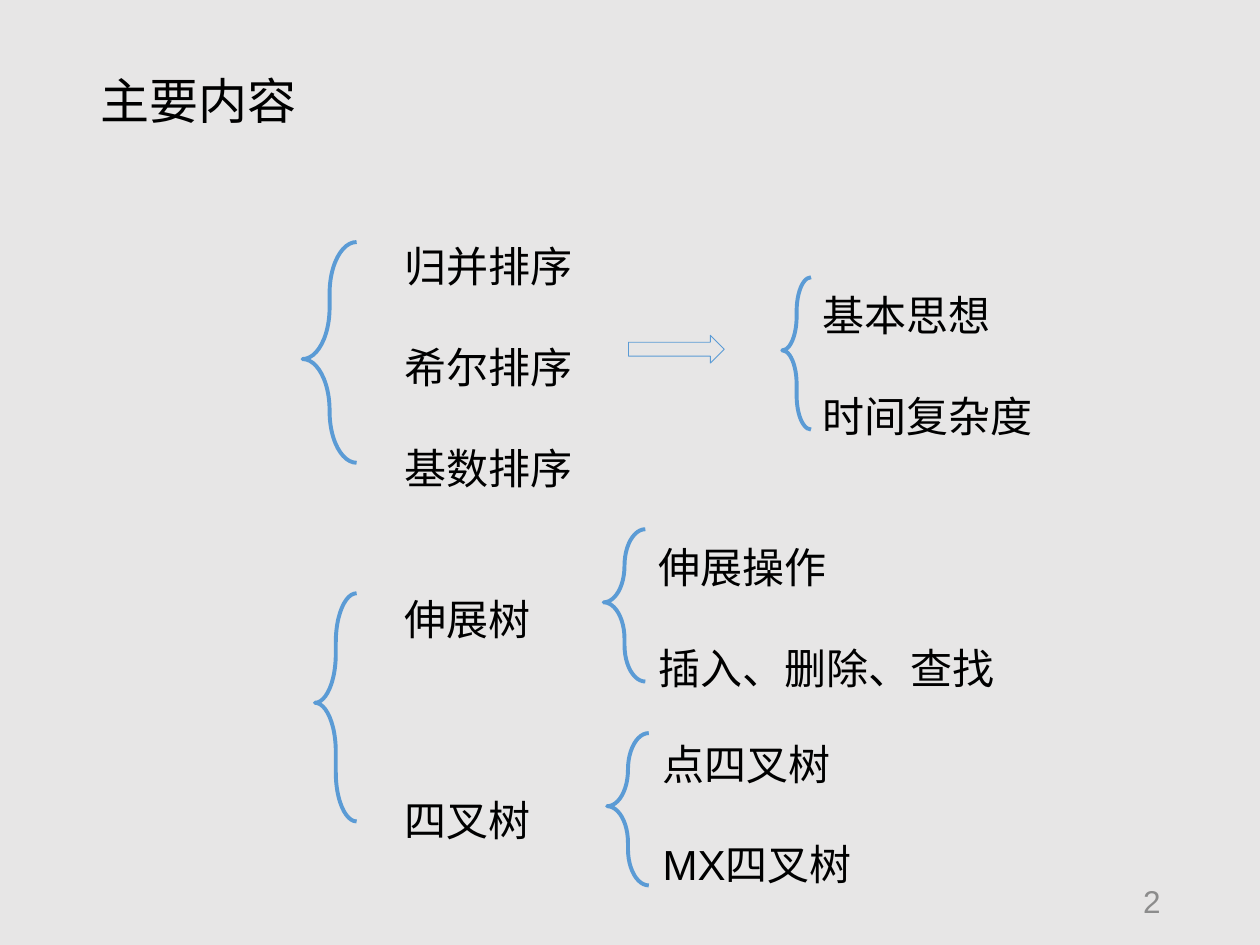
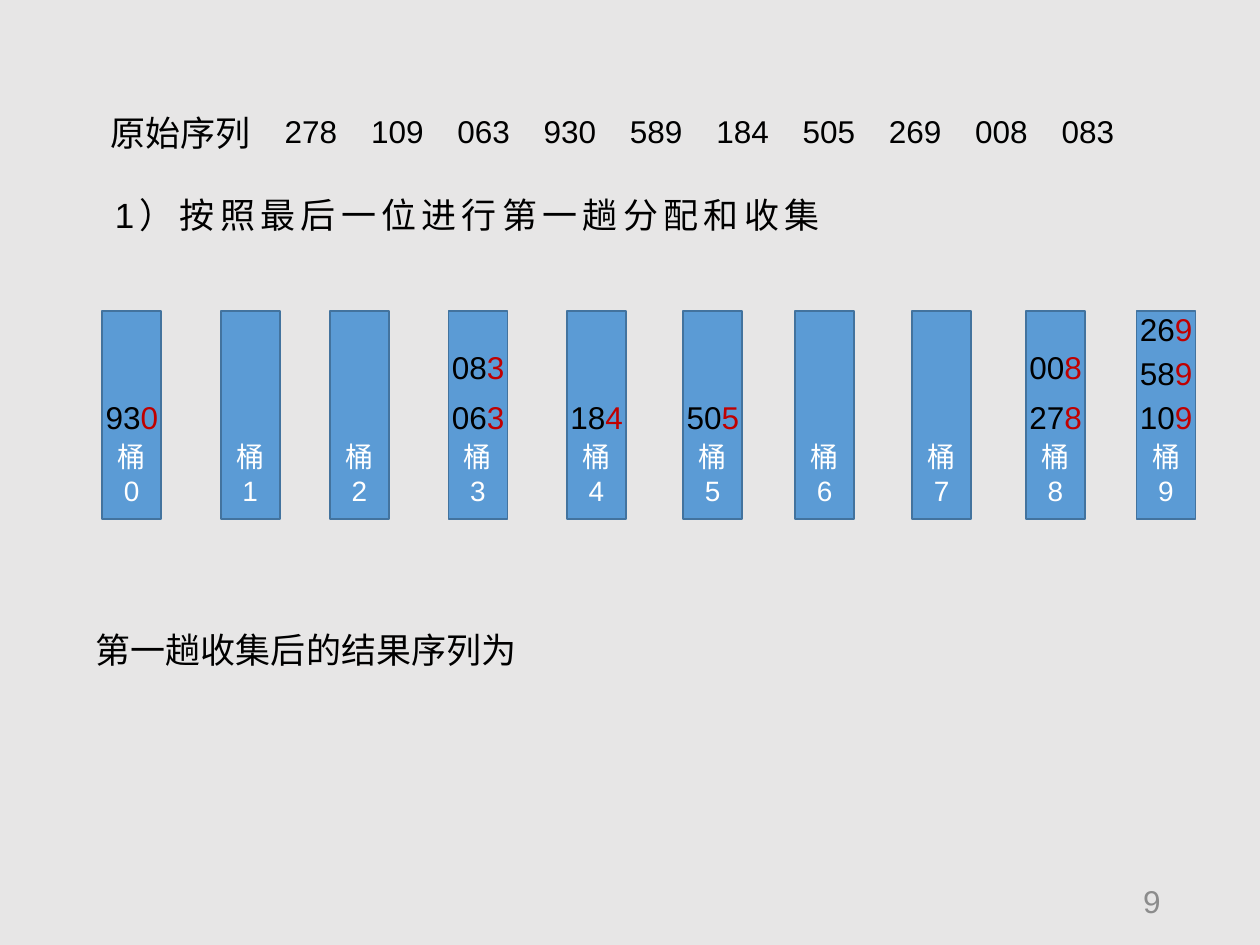
from lxml import etree
from pptx import Presentation
from pptx.dml.color import RGBColor
from pptx.enum.shapes import MSO_SHAPE
from pptx.enum.text import MSO_ANCHOR, MSO_AUTO_SIZE, PP_ALIGN
from pptx.oxml.ns import qn
from pptx.util import Cm, Pt

LEFT_BRACE, RIGHT_ARROW = MSO_SHAPE.LEFT_BRACE, MSO_SHAPE.RIGHT_ARROW
RECTANGLE = MSO_SHAPE.RECTANGLE
TOP, MIDDLE, BOTTOM = MSO_ANCHOR.TOP, MSO_ANCHOR.MIDDLE, MSO_ANCHOR.BOTTOM
LEFT, CENTER, RIGHT = PP_ALIGN.LEFT, PP_ALIGN.CENTER, PP_ALIGN.RIGHT
NO_AUTOFIT = MSO_AUTO_SIZE.NONE
TWO_CONTENT, TITLE_ONLY = 3, 5

FONT = "Arial"
BACKGROUND, BLACK, WHITE, GRAY = "E7E6E6", "000000", "FFFFFF", "8C8C8C"
BLUE, DARK_BLUE, RED = "5B9BD5", "43739E", "C00000"


def color(value):
    return RGBColor.from_string(value)


def set_attributes(target, values):
    for name, value in values.items():
        setattr(target, name, value)


class Deck:
    def __init__(self):
        self.presentation = Presentation()
        set_attributes(self.presentation,
                       {"slide_width": Cm(25.4), "slide_height": Cm(19.05)})
        fill = self.presentation.slide_master.background.fill
        fill.solid()
        fill.fore_color.rgb = color(BACKGROUND)
        self.slide = None

    def add_slide(self, layout, number):
        layouts = self.presentation.slide_layouts
        self.slide = self.presentation.slides.add_slide(layouts[layout])
        self.text_box((17.93, 17.65, 5.72, 1.02), [str(number)], size=18,
                      ink=GRAY, align=RIGHT, anchor=MIDDLE)

    def place(self, shape, box):
        names = ("left", "top", "width", "height")
        set_attributes(shape, dict(zip(names, map(Cm, box))))

    def set_text(self, shape, lines, size=20, ink=BLACK, align=LEFT, anchor=TOP,
                 line_spacing=1.0, gap=0, tracking=0):
        """Fill a shape; a line is a string or a list of (text, colour) runs."""
        frame = shape.text_frame
        set_attributes(frame, {"word_wrap": True, "auto_size": NO_AUTOFIT,
                               "vertical_anchor": anchor})
        for index, line in enumerate(lines):
            paragraph = frame.add_paragraph() if index else frame.paragraphs[0]
            if shape.is_placeholder:
                properties = paragraph._p.get_or_add_pPr()
                properties.set("marL", "0")
                properties.set("indent", "0")
                etree.SubElement(properties, qn("a:buNone"))
            set_attributes(paragraph, {
                "alignment": align, "line_spacing": line_spacing,
                "space_before": Pt(gap if index else 0)})
            runs = [(line, ink)] if isinstance(line, str) else line
            for text, run_ink in runs:
                run = paragraph.add_run()
                run.text = text
                set_attributes(run.font, {"name": FONT, "size": Pt(size), "bold": False})
                run.font.color.rgb = color(run_ink)
                if tracking:
                    run._r.get_or_add_rPr().set("spc", str(tracking * 100))

    def text_box(self, box, lines, **style):
        shape = self.slide.shapes.add_textbox(*map(Cm, box))
        self.set_text(shape, lines, **style)

    def placeholder(self, index, box, lines, **style):
        shape = self.slide.placeholders[index]
        self.place(shape, box)
        self.set_text(shape, lines, **style)

    def shape(self, kind, box, line, weight, fill=None, adjustments=()):
        shape = self.slide.shapes.add_shape(kind, *map(Cm, box))
        shape.shadow.inherit = False
        if fill:
            shape.fill.solid()
            shape.fill.fore_color.rgb = color(fill)
        else:
            shape.fill.background()
        shape.line.color.rgb = color(line)
        shape.line.width = Pt(weight)
        for index, value in enumerate(adjustments):
            shape.adjustments[index] = value
        return shape

    def brace(self, box, adjustments=(1.18, 0.48)):
        self.shape(LEFT_BRACE, box, BLUE, 2.25, adjustments=adjustments)

    def bucket(self, left, number, values):
        """Draw one bucket with its values stacked upwards, last digit in red."""
        shape = self.shape(RECTANGLE, (left, 6.27, 1.19, 4.19), DARK_BLUE, 1, BLUE)
        shape.text_frame.margin_bottom = Cm(0.24)
        self.set_text(shape, ["桶", str(number)], size=16, ink=WHITE,
                      align=CENTER, anchor=BOTTOM)
        step = 0.89 if len(values) > 2 else 1.0
        for level, value in enumerate(values):
            self.text_box((left - 0.18, 7.9 - level * step, 2, 1.02),
                          [[(value[:-1], BLACK), (value[-1], RED)]], size=18)


def build_contents(deck):
    deck.add_slide(TWO_CONTENT, 2)
    deck.placeholder(0, (1.78, 1.3, 8, 1.45), ["主要内容"], size=28)

    list_style = {"size": 24, "line_spacing": 2.0}
    deck.placeholder(1, (7.9, 3.71, 4.78, 6.1),
                     ["归并排序", "希尔排序", "基数排序"], **list_style)
    deck.placeholder(2, (7.9, 10.82, 3.8, 6.1),
                     ["伸展树", "四叉树"], gap=57.5, **list_style)
    deck.brace((6.1, 4.88, 1.09, 4.45), (0.95, 0.53))
    deck.brace((6.35, 11.96, 0.84, 4.6))
    deck.shape(RIGHT_ARROW, (12.67, 6.76, 1.93, 0.56), BLUE, 0.5)

    details = [
        ((15.77, 5.59, 0.58), (16.33, 4.7), ["基本思想", "时间复杂度"]),
        ((12.17, 10.67, 0.84), (13.03, 9.78), ["伸展操作", "插入、删除、查找"]),
        ((12.24, 14.78, 0.84), (13.11, 13.74), ["点四叉树", "MX四叉树"]),
    ]
    for brace, corner, lines in details:
        deck.brace((*brace, 3.07))
        deck.text_box((*corner, 8.13, 4.04), lines, **list_style)


def build_first_pass(deck):
    deck.add_slide(TITLE_ONLY, 9)
    deck.text_box((1.98, 2.13, 3.5, 1.12), ["原始序列"])
    sequence = ["278", "109", "063", "930", "589", "184", "505", "269", "008", "083"]
    for index, value in enumerate(sequence):
        deck.text_box((5.49 + index * 1.74, 2.13, 1.75, 1.02), [value], size=18)
    deck.placeholder(0, (2.06, 3.78, 21.46, 1.12),
                     ["1）按照最后一位进行第一趟分配和收集"], tracking=3)

    bucket_lefts = [2.06, 4.45, 6.65, 9.04, 11.43, 13.77, 16.03, 18.39, 20.68, 22.91]
    for digit, left in enumerate(bucket_lefts):
        values = [value for value in sequence if value.endswith(str(digit))]
        deck.bucket(left, digit, values)
    deck.text_box((1.68, 12.55, 13.69, 1.12), ["第一趟收集后的结果序列为"])


def main():
    deck = Deck()
    build_contents(deck)
    build_first_pass(deck)
    deck.presentation.save("out.pptx")


if __name__ == "__main__":
    main()
